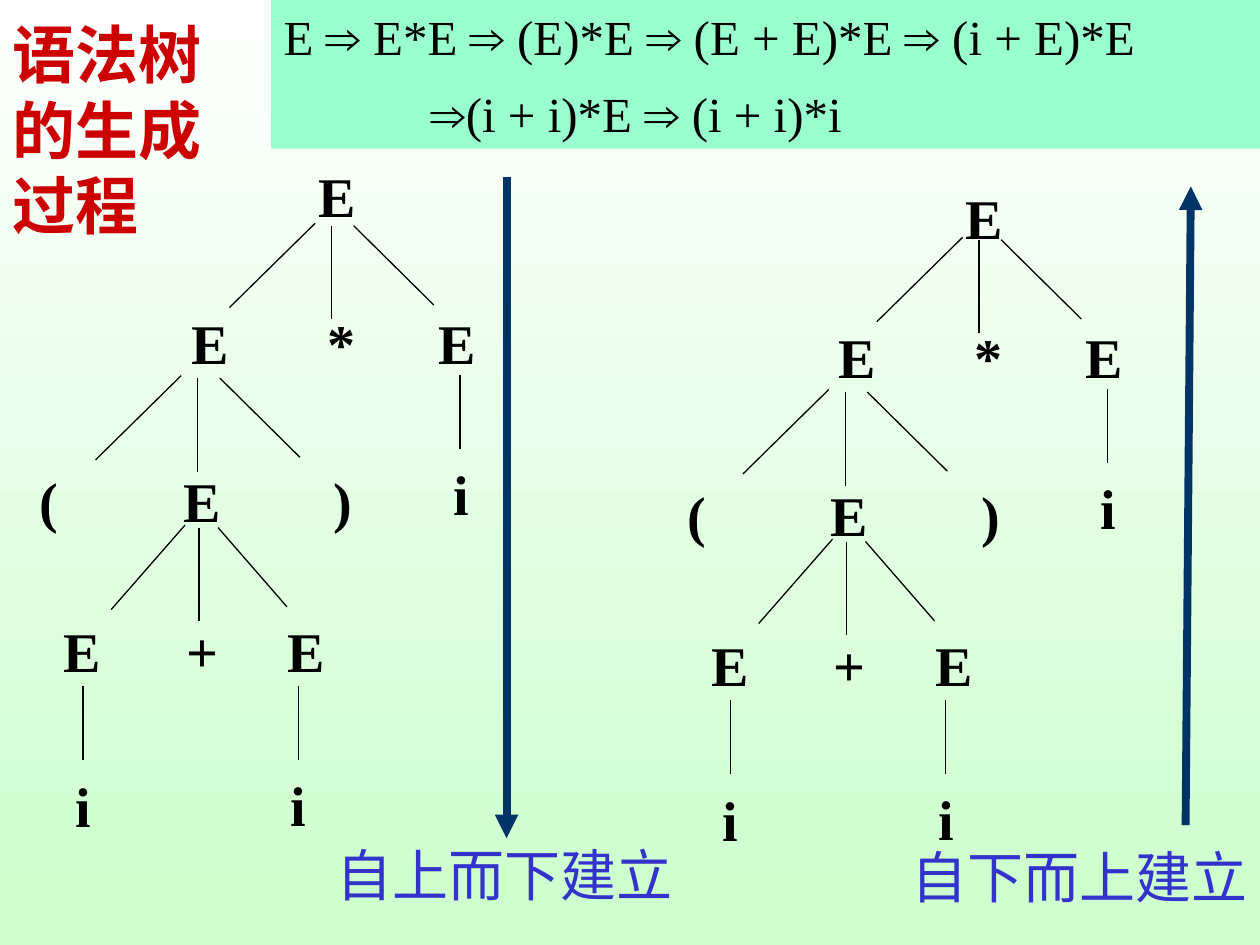
"""Build a slide showing a syntax tree grown top-down and bottom-up."""
from itertools import groupby

from lxml.etree import SubElement
from pptx import Presentation
from pptx.dml.color import RGBColor
from pptx.enum.shapes import MSO_CONNECTOR, MSO_SHAPE
from pptx.enum.text import MSO_ANCHOR, MSO_AUTO_SIZE, PP_ALIGN
from pptx.oxml.ns import qn
from pptx.util import Pt

BLACK = RGBColor(0x00, 0x00, 0x00)
WHITE = RGBColor(0xFF, 0xFF, 0xFF)
PALE_GREEN = RGBColor(0xCC, 0xFF, 0xCC)
MINT = RGBColor(0x99, 0xFF, 0xCC)
RED = RGBColor(0xCC, 0x00, 0x00)
BLUE = RGBColor(0x33, 0x33, 0xCC)
NAVY = RGBColor(0x00, 0x33, 0x66)

TITLE = "语法树的生成过程"
DERIVATION = [
    "E ⇒ E*E ⇒ (E)*E ⇒ (E + E)*E ⇒ (i + E)*E",
    "⇒(i + i)*E ⇒ (i + i)*i",
]
CAPTIONS = [("自上而下建立", 288.5, 476.5), ("自下而上建立", 617, 478)]
ARROWS = [((289.5, 101), (289.5, 479)), ((677.5, 471.5), (680.5, 106.5))]

ROOT = ("E", 192.5, 88.5)
SYMBOLS = [
    ("E", 120, 173), ("*", 195, 173), ("E", 261, 173),
    ("(", 28, 263), ("E", 115.5, 263), (")", 196, 263), ("i", 263.5, 259),
    ("E", 47, 349), ("+", 115.5, 349), ("E", 175, 349),
    ("i", 47.5, 437.5), ("i", 170.5, 437),
]
FANS = [(189.5, 129, 1), (113, 216, 1), (113.8, 301.5, 0.86)]
FAN_BRANCHES = [((-9.4, -1.4), (-58.4, 46.8)), ((0, 0), (0, 53.5)), ((12.6, 0), (58.4, 45.3))]
STEMS = [(47.5, 392), (170.5, 392), (262.8, 214.5)]
STEM_LENGTH = 42.3
TREES = [(0, 0, 0), (370, 8, 5)]
SYMBOL_WIDTH, LINE_BOX_HEIGHT, CAPTION_WIDTH = 40, 46, 210


def write(shape, lines, size=32, color=BLACK, bold=False, align=PP_ALIGN.CENTER,
          anchor=MSO_ANCHOR.TOP, wrap=True, gap=0, hanging=0):
    frame = shape.text_frame
    frame.word_wrap = wrap
    frame.auto_size = MSO_AUTO_SIZE.NONE
    frame.vertical_anchor = anchor
    for index, line in enumerate(lines):
        paragraph = frame.add_paragraph() if index else frame.paragraphs[0]
        paragraph.alignment = align
        if index:
            paragraph.space_before = Pt(gap)
            paragraph._p.get_or_add_pPr().set("marL", str(Pt(hanging)))
        for is_arrow, characters in groupby(line, lambda character: character == "⇒"):
            run = paragraph.add_run()
            run.text = "".join(characters)
            run.font.name = "Arial" if is_arrow else "Times New Roman"
            run.font.size = Pt(size)
            run.font.bold = bold
            run.font.color.rgb = color


def add_label(slide, text, center, top, width, **style):
    box = slide.shapes.add_textbox(Pt(center - width / 2), Pt(top), Pt(width), Pt(LINE_BOX_HEIGHT))
    write(box, [text], wrap=False, **style)


def add_line(slide, start, end, color=BLACK, weight=0.75, arrowhead=False):
    line = slide.shapes.add_connector(MSO_CONNECTOR.STRAIGHT, *map(Pt, start + end))
    line.line.color.rgb = color
    line.line.width = Pt(weight)
    if arrowhead:
        SubElement(line.line._get_or_add_ln(), qn("a:tailEnd"), type="triangle")
    SubElement(line._element.spPr, qn("a:effectLst"))


def add_tree(slide, dx, dy, root_drop):
    text, x, y = ROOT
    for text, x, y in [(text, x, y + root_drop)] + SYMBOLS:
        add_label(slide, text, x + dx, y + dy, SYMBOL_WIDTH, bold=True)
    for x, y, spread in FANS:
        for branch in FAN_BRANCHES:
            start, end = [(x + dx + across * spread, y + dy + down) for across, down in branch]
            add_line(slide, start, end)
    for x, y in STEMS:
        add_line(slide, (x + dx, y + dy), (x + dx, y + dy + STEM_LENGTH))


def main():
    deck = Presentation()
    deck.slide_width, deck.slide_height = Pt(720), Pt(540)
    slide = deck.slides.add_slide(deck.slide_layouts[5])

    backdrop = slide.background.fill
    backdrop.gradient()
    backdrop.gradient_angle = 270
    for stop, color in zip(backdrop.gradient_stops, (WHITE, PALE_GREEN)):
        stop.color.rgb = color

    title = slide.shapes.title
    title.left, title.top, title.width, title.height = Pt(0), Pt(0), Pt(155), Pt(147.5)
    write(title, [TITLE], size=36, color=RED, bold=True, align=PP_ALIGN.LEFT,
          anchor=MSO_ANCHOR.MIDDLE)

    for tree in TREES:
        add_tree(slide, *tree)

    panel = slide.shapes.add_shape(MSO_SHAPE.RECTANGLE, Pt(155), Pt(0), Pt(565), Pt(85))
    panel.shadow.inherit = False
    panel.fill.solid()
    panel.fill.fore_color.rgb = MINT
    panel.line.fill.background()
    write(panel, DERIVATION, size=28, align=PP_ALIGN.LEFT, gap=10.5, hanging=84)

    for start, end in ARROWS:
        add_line(slide, start, end, color=NAVY, weight=4.5, arrowhead=True)
    for text, center, top in CAPTIONS:
        add_label(slide, text, center, top, CAPTION_WIDTH, color=BLUE)

    deck.save("out.pptx")


if __name__ == "__main__":
    main()
